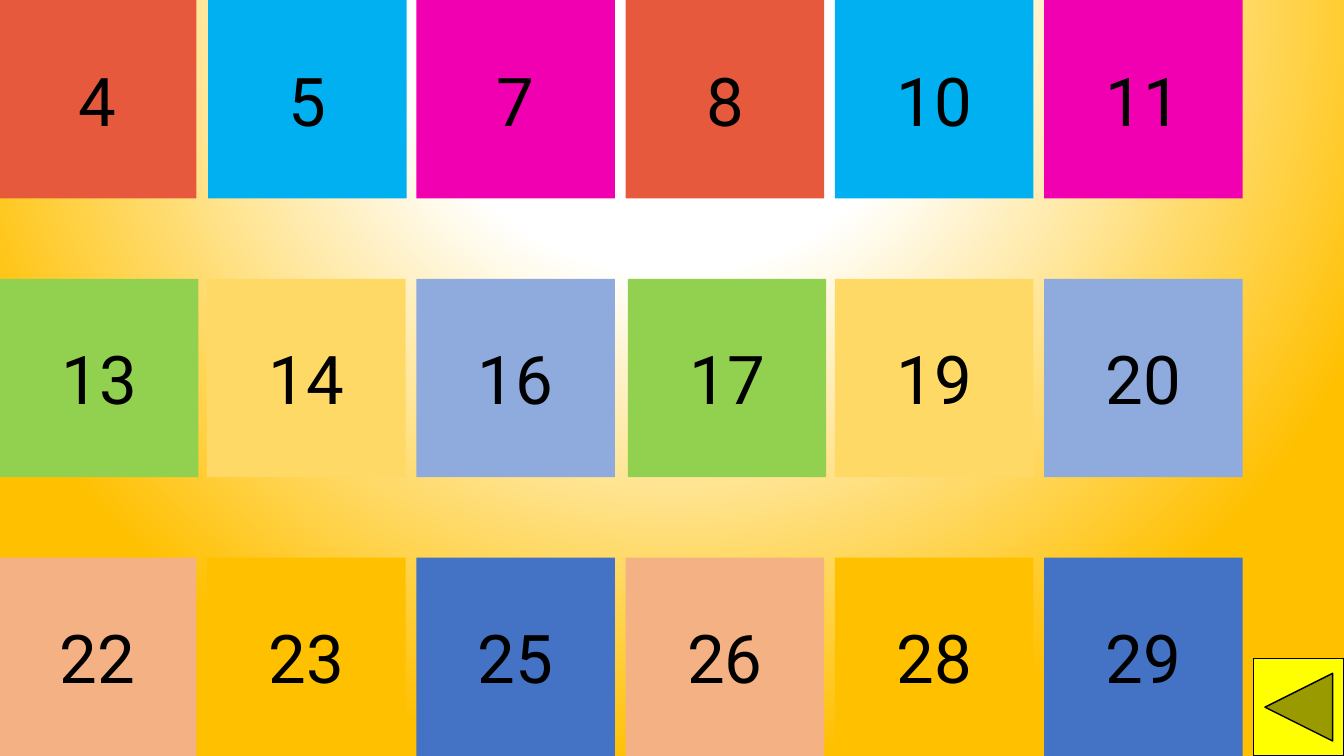
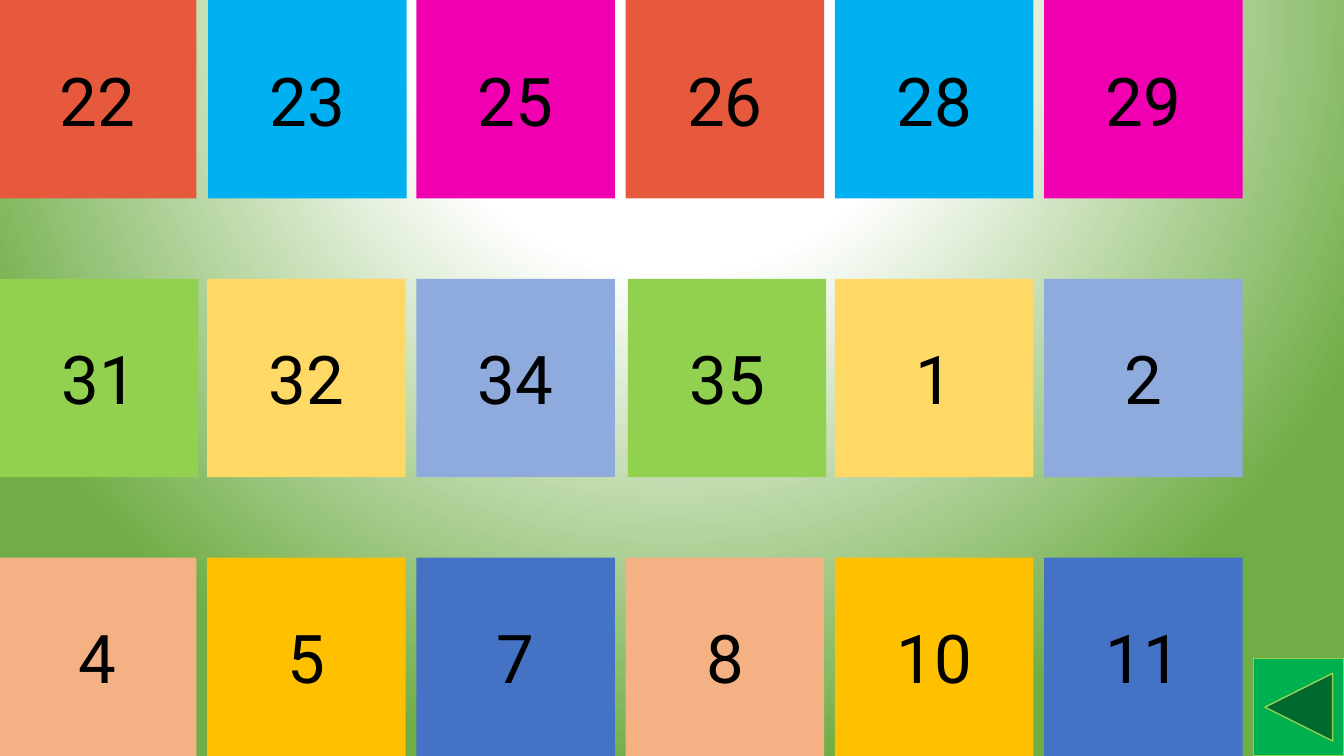
from dataclasses import dataclass

from pptx import Presentation
from pptx.dml.color import RGBColor
from pptx.enum.shapes import MSO_SHAPE
from pptx.enum.text import MSO_ANCHOR, PP_ALIGN
from pptx.oxml import parse_xml
from pptx.oxml.ns import nsdecls
from pptx.shapes.autoshape import Shape
from pptx.slide import Slide
from pptx.util import Pt

EMU_PER_PX = 4762.5
SLIDE_WIDTH, SLIDE_HEIGHT = 2560, 1440
TILE_SIDE = 378
FIRST_LEFT, LAST_LEFT = -4, 1989
COLUMNS = 6
BACK_BUTTON_BOX = (2388, 1254, 172, 186)
NUMBER_FONT = {"name": "Roboto", "size": Pt(48)}


@dataclass(frozen=True)
class TileRow:
    """Three colours, each with a sideways nudge, repeated along the row."""
    colours: tuple[str, str, str]
    nudges: tuple[int, ...]


@dataclass(frozen=True)
class NumberBoard:
    edge_colour: str
    button_fill: str
    button_line: str
    numbers: tuple[tuple[int, ...], ...]


TILE_ROWS = (
    TileRow(("E7593D", "00B0F0", "F000B1"), (0, 2, 0, 0, 0, 0)),
    TileRow(("92D050", "FFD966", "8FAADC"), (4, 0, 0, 4, 0, 0)),
    TileRow(("F4B183", "FFC000", "4472C4"), (0, 0, 0, 0, 0, 0)),
)

BOARDS = (
    NumberBoard("FFC000", "FFFF00", "000000", (
        (4, 5, 7, 8, 10, 11),
        (13, 14, 16, 17, 19, 20),
        (22, 23, 25, 26, 28, 29),
    )),
    NumberBoard("70AD47", "00B050", "92D050", (
        (22, 23, 25, 26, 28, 29),
        (31, 32, 34, 35, 1, 2),
        (4, 5, 7, 8, 10, 11),
    )),
)


def px(length: float) -> int:
    return round(length * EMU_PER_PX)


def colour(hex_code: str) -> RGBColor:
    return RGBColor.from_string(hex_code)


def paint_background(slide: Slide, edge_colour: str) -> None:
    """Glow white from above the slide out to the edge colour."""
    stops = "".join(
        f'<a:gs pos="{percent * 1000}"><a:srgbClr val="{hex_code}"/></a:gs>'
        for percent, hex_code in ((0, "FFFFFF"), (35, "FFFFFF"), (100, edge_colour))
    )
    slide.element.cSld.insert(0, parse_xml(
        f'<p:bg {nsdecls("p", "a")}><p:bgPr><a:gradFill rotWithShape="1">'
        f'<a:gsLst>{stops}</a:gsLst><a:path path="circle">'
        '<a:fillToRect l="50000" t="-80000" r="50000" b="180000"/></a:path>'
        '</a:gradFill><a:effectLst/></p:bgPr></p:bg>'
    ))


def add_filled_shape(slide: Slide, preset: MSO_SHAPE,
                     box: tuple[float, float, float, float], fill: str) -> Shape:
    shape = slide.shapes.add_shape(preset, *map(px, box))
    shape.shadow.inherit = False
    shape.fill.solid()
    shape.fill.fore_color.rgb = colour(fill)
    return shape


def add_tile(slide: Slide, left: float, top: float, fill: str, number: int) -> None:
    tile = add_filled_shape(
        slide, MSO_SHAPE.RECTANGLE, (left, top, TILE_SIDE, TILE_SIDE), fill)
    tile.line.fill.background()
    tile.text_frame.text = str(number)
    tile.text_frame.vertical_anchor = MSO_ANCHOR.MIDDLE
    paragraph = tile.text_frame.paragraphs[0]
    paragraph.alignment = PP_ALIGN.CENTER
    font = paragraph.runs[0].font
    for attribute, value in NUMBER_FONT.items():
        setattr(font, attribute, value)
    font.color.rgb = colour("000000")


def add_back_button(slide: Slide, fill: str, outline: str) -> None:
    button = add_filled_shape(
        slide, MSO_SHAPE.ACTION_BUTTON_BACK_OR_PREVIOUS, BACK_BUTTON_BOX, fill)
    button.line.color.rgb = colour(outline)
    button.line.width = Pt(1)


def draw_board(slide: Slide, board: NumberBoard) -> None:
    paint_background(slide, board.edge_colour)
    column_step = (LAST_LEFT - FIRST_LEFT) / (COLUMNS - 1)
    row_step = (SLIDE_HEIGHT - TILE_SIDE) / (len(TILE_ROWS) - 1)
    for row, (style, numbers) in enumerate(zip(TILE_ROWS, board.numbers)):
        for column, (number, nudge) in enumerate(zip(numbers, style.nudges)):
            left = FIRST_LEFT + column * column_step + nudge
            fill = style.colours[column % len(style.colours)]
            add_tile(slide, left, row * row_step, fill, number)
    add_back_button(slide, board.button_fill, board.button_line)


def main() -> None:
    presentation = Presentation()
    presentation.slide_width = px(SLIDE_WIDTH)
    presentation.slide_height = px(SLIDE_HEIGHT)
    blank_layout = presentation.slide_layouts[6]
    for board in BOARDS:
        draw_board(presentation.slides.add_slide(blank_layout), board)
    presentation.save("out.pptx")


if __name__ == "__main__":
    main()
